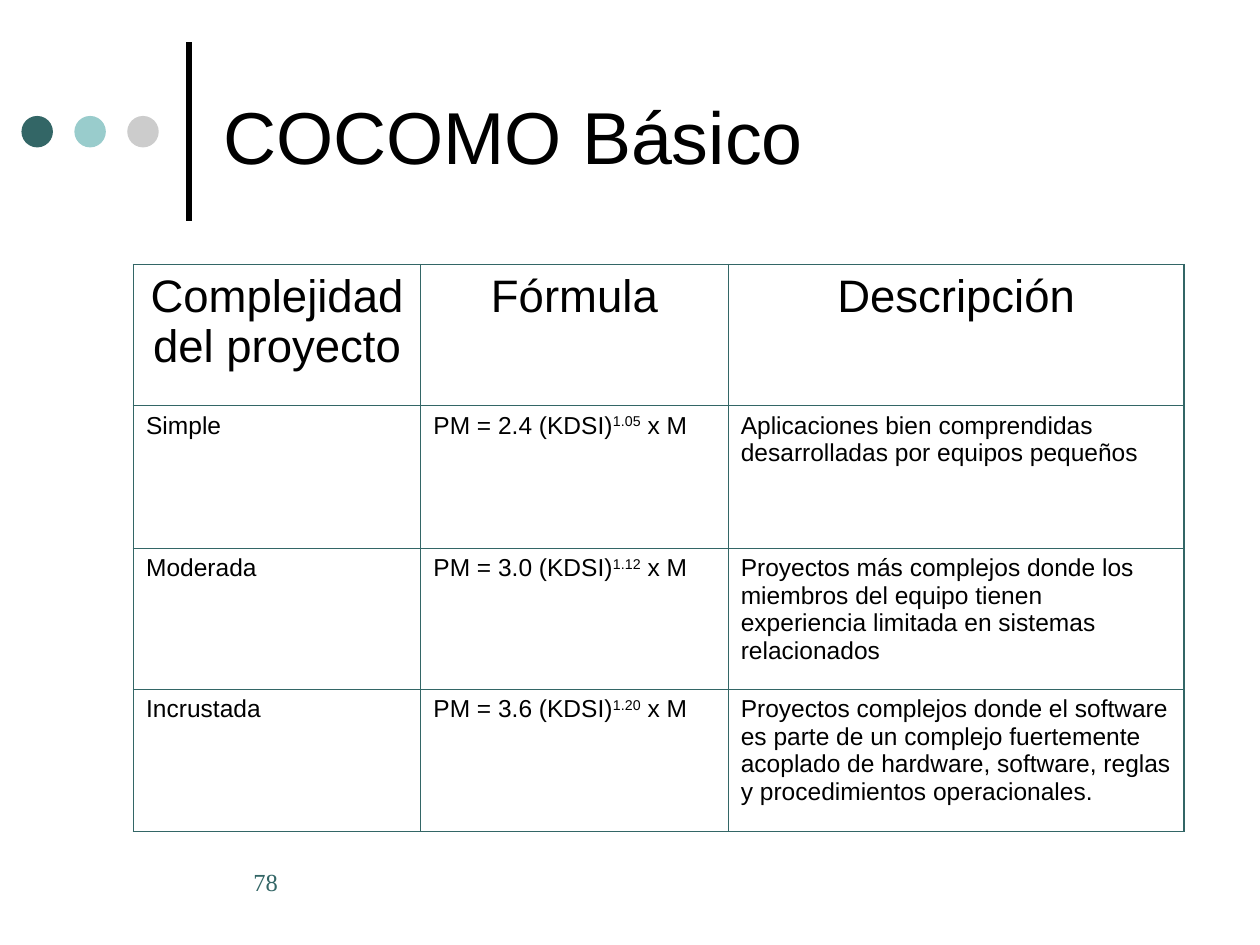
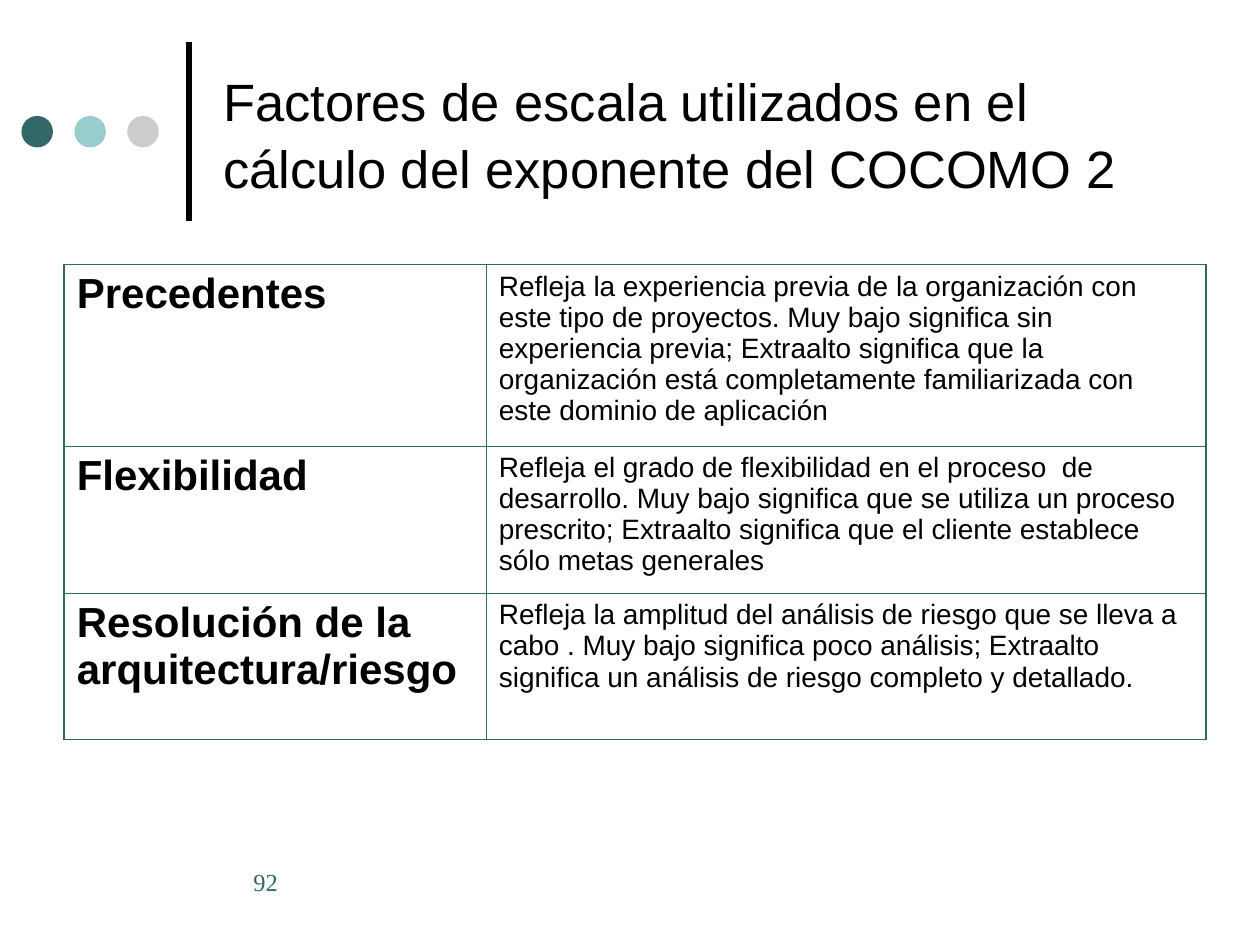
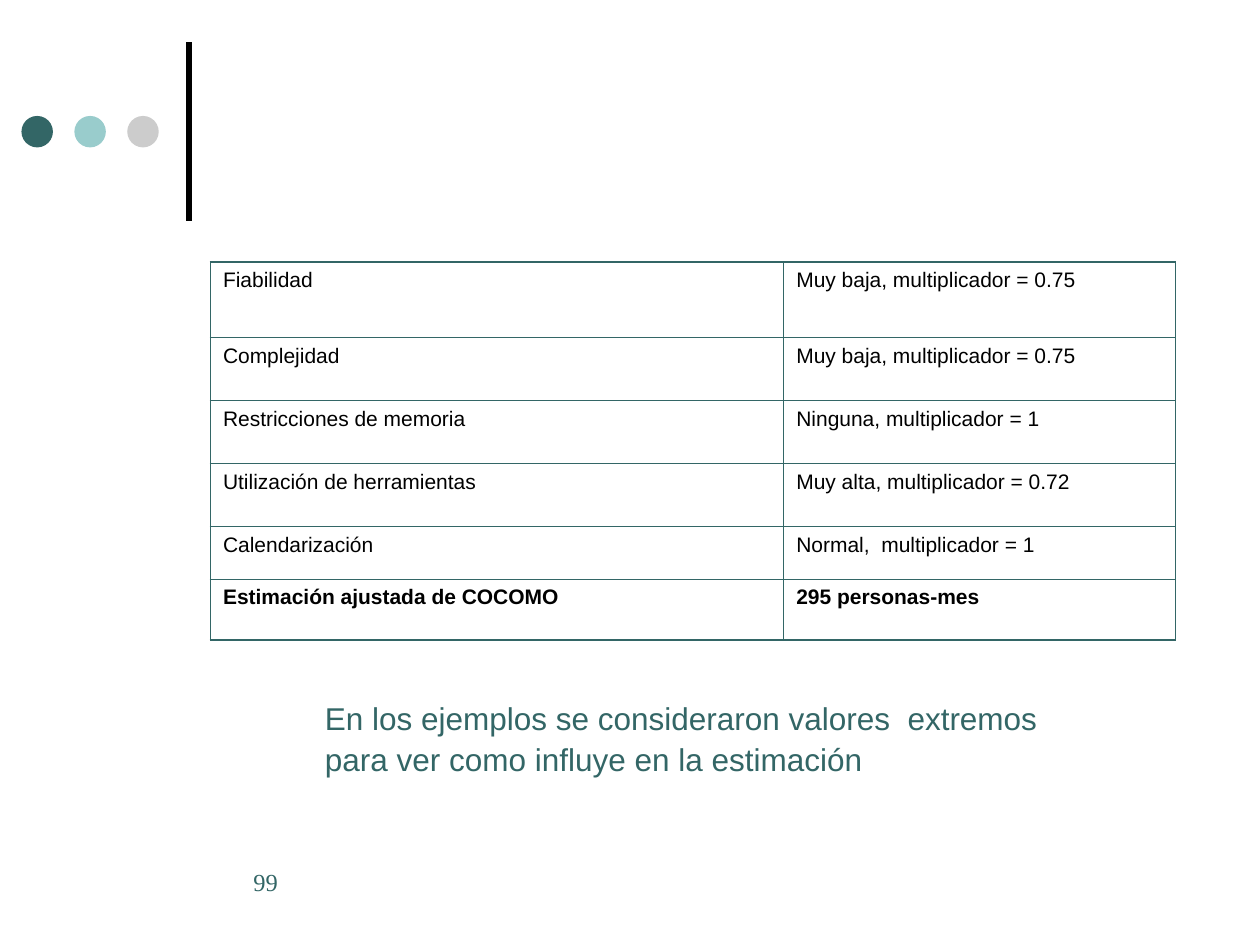
from pptx import Presentation
from pptx.dml.color import RGBColor
from pptx.enum.shapes import MSO_CONNECTOR, MSO_SHAPE
from pptx.enum.text import MSO_ANCHOR, MSO_AUTO_SIZE, PP_ALIGN
from pptx.oxml.ns import qn
from pptx.util import Inches, Pt
from lxml.etree import SubElement

BLACK = RGBColor(0x00, 0x00, 0x00)
TEAL = RGBColor(0x33, 0x66, 0x66)
AQUA = RGBColor(0x99, 0xCC, 0xCC)
GRAY = RGBColor(0xCC, 0xCC, 0xCC)
SANS, SERIF = "Arial", "Times New Roman"
TITLE_ONLY, BLANK = 5, 6
OUTER_BORDER, INNER_BORDER = 1.08, 0.45
LOOSE_SPACING = 1.07

SLIDES = [
    {
        "number": "78",
        "title": ("COCOMO Básico", 42),
        "table": {
            "left": 1.06, "top": 2.1,
            "columns": [2.28, 2.44, 3.62],
            "heights": [1.12, 1.13, 1.12, 1.13],
            "sizes": [14, 14, 14],
            "header_size": 26,
            "rows": [
                ("Complejidad del proyecto", "Fórmula", "Descripción"),
                ("Simple", "PM = 2.4 (KDSI)^1.05^ x M",
                 "Aplicaciones bien comprendidas desarrolladas por equipos pequeños"),
                ("Moderada", "PM = 3.0 (KDSI)^1.12^ x M",
                 "Proyectos más complejos donde los miembros del equipo tienen "
                 "experiencia limitada en sistemas relacionados"),
                ("Incrustada", "PM = 3.6 (KDSI)^1.20^ x M",
                 "Proyectos complejos donde el software es parte de un complejo "
                 "fuertemente acoplado de hardware, software, reglas y "
                 "procedimientos operacionales."),
            ],
        },
    },
    {
        "number": "92",
        "title": ("Factores de escala utilizados en el cálculo del exponente del COCOMO 2", 30),
        "table": {
            "left": 0.51, "top": 2.1,
            "columns": [3.35, 5.71],
            "heights": [1.44, 1.17, 1.16],
            "sizes": [24, 16],
            "bold_column": 0,
            "rows": [
                ("Precedentes",
                 "Refleja la experiencia previa de la organización con este tipo de "
                 "proyectos. Muy bajo significa sin experiencia previa; Extraalto "
                 "significa que la organización está completamente familiarizada con "
                 "este dominio de aplicación"),
                ("Flexibilidad",
                 "Refleja el grado de flexibilidad en el proceso  de desarrollo. Muy "
                 "bajo significa que se utiliza un proceso prescrito; Extraalto "
                 "significa que el cliente establece sólo metas generales"),
                ("Resolución de la arquitectura/riesgo",
                 "Refleja la amplitud del análisis de riesgo que se lleva a cabo . Muy "
                 "bajo significa poco análisis; Extraalto significa un análisis de "
                 "riesgo completo y detallado."),
            ],
        },
    },
    {
        "number": "99",
        "table": {
            "left": 1.67, "top": 2.08,
            "columns": [4.55, 3.11],
            "heights": [0.6, 0.5, 0.5, 0.5, 0.42, 0.48],
            "sizes": [12, 12],
            "bold_row": 5,
            "rows": [
                ("Fiabilidad", "Muy baja, multiplicador = 0.75"),
                ("Complejidad", "Muy baja, multiplicador = 0.75"),
                ("Restricciones de memoria", "Ninguna, multiplicador = 1"),
                ("Utilización de herramientas", "Muy alta, multiplicador = 0.72"),
                ("Calendarización", "Normal,  multiplicador = 1"),
                ("Estimación ajustada de COCOMO", "295 personas-mes"),
            ],
        },
        "remark": "En los ejemplos se consideraron valores  extremos "
                  "para ver como influye en la estimación",
    },
]


def style(paragraph, size, color=BLACK, name=SANS, bold=False):
    font = paragraph.font
    font.size, font.name, font.bold = Pt(size), name, bold
    font.color.rgb = color


def add_decoration(slide):
    bar = slide.shapes.add_connector(
        MSO_CONNECTOR.STRAIGHT, Inches(1.5), Inches(1.75), Inches(1.5), Inches(0.33))
    bar.line.color.rgb = BLACK
    bar.line.width = Pt(3)
    SubElement(bar._element.spPr, qn("a:effectLst"))
    for index, color in enumerate((TEAL, AQUA, GRAY)):
        dot = slide.shapes.add_shape(
            MSO_SHAPE.OVAL, Inches(0.17 + 0.42 * index), Inches(0.92), Inches(0.25), Inches(0.25))
        dot.shadow.inherit = False
        dot.fill.solid()
        dot.fill.fore_color.rgb = color
        dot.line.fill.background()


def set_title(slide, text, size):
    title = slide.shapes.title
    title.left, title.top = Inches(1.67), Inches(0.21)
    title.width, title.height = Inches(7.67), Inches(1.67)
    frame = title.text_frame
    frame.text = text
    frame.auto_size = MSO_AUTO_SIZE.NONE
    frame.vertical_anchor = MSO_ANCHOR.MIDDLE
    paragraph = frame.paragraphs[0]
    paragraph.alignment = PP_ALIGN.LEFT
    paragraph.line_spacing = LOOSE_SPACING
    style(paragraph, size)


def add_text(slide, text, left, top, width, height):
    box = slide.shapes.add_textbox(Inches(left), Inches(top), Inches(width), Inches(height))
    frame = box.text_frame
    frame.word_wrap = True
    frame.text = text
    return frame


def set_borders(cell, outer_sides):
    properties = cell._tc.get_or_add_tcPr()
    for side, is_outer in outer_sides.items():
        width = Pt(OUTER_BORDER if is_outer else INNER_BORDER)
        line = SubElement(properties, qn(f"a:ln{side}"), w=str(width))
        SubElement(SubElement(line, qn("a:solidFill")), qn("a:srgbClr"), val=str(TEAL))


def write_with_superscripts(paragraph, text):
    for index, part in enumerate(text.split("^")):
        run = paragraph.add_run()
        run.text = part
        if index % 2:
            run.font._element.set("baseline", "30000")


def add_table(slide, content):
    rows, columns, heights = content["rows"], content["columns"], content["heights"]
    table = slide.shapes.add_table(
        len(rows), len(columns), Inches(content["left"]), Inches(content["top"]),
        Inches(sum(columns)), Inches(sum(heights))).table
    table.first_row = table.horz_banding = False
    for column, width in zip(table.columns, columns):
        column.width = Inches(width)
    for row_index, texts in enumerate(rows):
        table.rows[row_index].height = Inches(heights[row_index])
        is_header = row_index == 0 and "header_size" in content
        for column_index, text in enumerate(texts):
            cell = table.cell(row_index, column_index)
            set_borders(cell, {
                "L": column_index == 0, "R": column_index == len(columns) - 1,
                "T": row_index == 0, "B": row_index == len(rows) - 1})
            cell.fill.background()
            paragraph = cell.text_frame.paragraphs[0]
            write_with_superscripts(paragraph, text)
            if is_header:
                paragraph.alignment = PP_ALIGN.CENTER
            bold = (row_index == content.get("bold_row")
                    or column_index == content.get("bold_column"))
            size = content["header_size"] if is_header else content["sizes"][column_index]
            style(paragraph, size, bold=bold)


def add_remark(slide, text):
    paragraph = add_text(slide, text, 2.48, 5.48, 6.22, 0.7).paragraphs[0]
    paragraph.line_spacing = LOOSE_SPACING
    style(paragraph, 18, TEAL)


def add_page_number(slide, number):
    frame = add_text(slide, number, 1.67, 6.83, 1.42, 0.5)
    frame.margin_left = Inches(0.34)
    style(frame.paragraphs[0], 14, TEAL, SERIF)


def main():
    presentation = Presentation()
    presentation.slide_width, presentation.slide_height = Inches(10), Inches(7.5)
    for content in SLIDES:
        layout = TITLE_ONLY if "title" in content else BLANK
        slide = presentation.slides.add_slide(presentation.slide_layouts[layout])
        add_decoration(slide)
        if "title" in content:
            set_title(slide, *content["title"])
        add_table(slide, content["table"])
        if "remark" in content:
            add_remark(slide, content["remark"])
        add_page_number(slide, content["number"])
    presentation.save("out.pptx")


if __name__ == "__main__":
    main()
